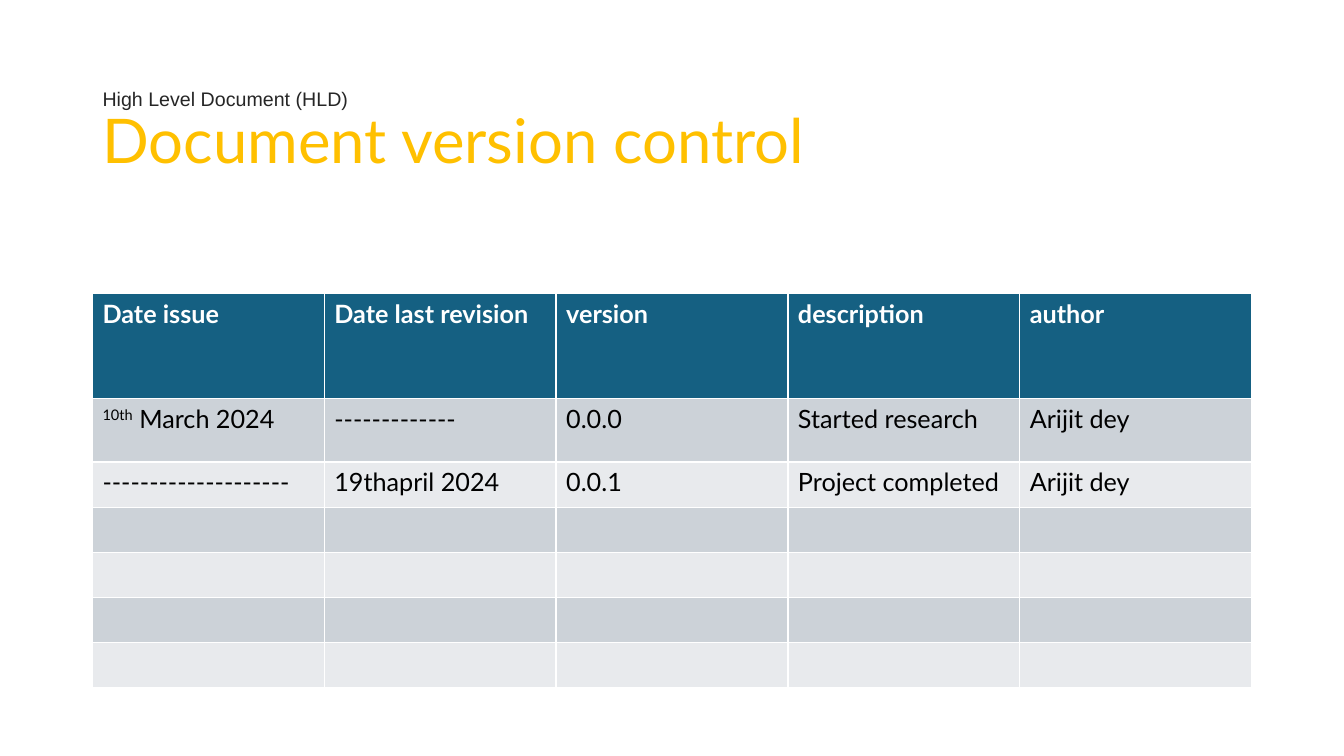
from dataclasses import dataclass

from lxml.etree import SubElement
from pptx import Presentation
from pptx.dml.color import RGBColor
from pptx.enum.text import MSO_ANCHOR, MSO_AUTO_SIZE, PP_ALIGN
from pptx.oxml.ns import qn
from pptx.util import Cm, Pt


@dataclass(frozen=True)
class Theme:
    head: str = "156082"
    bands: tuple = ("CCD2D8", "E8EAED")
    white: str = "FFFFFF"
    black: str = "000000"
    grey: str = "262626"
    gold: str = "FFC000"
    small: int = 14
    text: int = 18
    large: int = 44
    sans: str = "Arial"
    main: str = "Lato"


THEME = Theme()
LEFT, WIDTH = Cm(2.33), Cm(29.21)

HEADS = ["Date issue", "Date last revision", "version", "description", "author"]
# A tuple holds a raised part and the text after it
ROWS = [
    HEADS,
    [("10th", " March 2024"), "-------------", "0.0.0", "Started research", "Arijit dey"],
    ["--------------------", "19thapril 2024", "0.0.1", "Project completed", "Arijit dey"],
] + [[""] * len(HEADS)] * 4
HEIGHTS = [2.65, 1.6] + [1.14] * 5


def add_run(para, text, size, color, face, bold=False):
    run = para.add_run()
    run.text = text
    form = {"size": Pt(size), "name": face, "bold": bold}
    for key, value in form.items():
        setattr(run.font, key, value)
    run.font.color.rgb = RGBColor.from_string(color)
    return run


def add_title(slide):
    title = slide.shapes.title
    place = {"left": LEFT, "top": Cm(1.01), "width": WIDTH, "height": Cm(4.7)}
    for key, value in place.items():
        setattr(title, key, value)
    frame = title.text_frame
    form = {
        "word_wrap": True,
        "auto_size": MSO_AUTO_SIZE.NONE,
        "vertical_anchor": MSO_ANCHOR.MIDDLE,
    }
    for key, value in form.items():
        setattr(frame, key, value)

    para = frame.paragraphs[0]
    para.alignment = PP_ALIGN.LEFT
    para.line_spacing = 0.9
    add_run(para, "High Level Document (HLD)", THEME.small, THEME.grey, THEME.sans)
    # Give the break the size of the small line
    para.add_line_break()
    mark = para._p.find(qn("a:br"))
    SubElement(mark, qn("a:rPr"), sz=str(THEME.small * 100))
    add_run(para, "Document version control", THEME.large, THEME.gold, THEME.main)


def fill_cell(cell, text, fill, color, bold):
    cell.fill.solid()
    cell.fill.fore_color.rgb = RGBColor.from_string(fill)
    para = cell.text_frame.paragraphs[0]
    para.font.size = Pt(THEME.text)
    form = (THEME.text, color, THEME.main, bold)
    if isinstance(text, tuple):
        raised, text = text
        run = add_run(para, raised, *form)
        run.font._element.set("baseline", "30000")
    if text:
        add_run(para, text, *form)


def add_grid(slide):
    # The default table style draws the white rules
    frame = slide.shapes.add_table(
        len(ROWS), len(HEADS), LEFT, Cm(7.39), WIDTH, Cm(sum(HEIGHTS))
    )
    table = frame.table
    for row, height in zip(table.rows, HEIGHTS):
        row.height = Cm(height)
    for i, texts in enumerate(ROWS):
        top = i == 0
        fill = THEME.head if top else THEME.bands[(i - 1) % 2]
        color = THEME.white if top else THEME.black
        for j, text in enumerate(texts):
            fill_cell(table.cell(i, j), text, fill, color, top)


def main():
    deck = Presentation()
    deck.slide_width, deck.slide_height = Cm(33.87), Cm(19.05)
    slide = deck.slides.add_slide(deck.slide_layouts[5])
    add_title(slide)
    add_grid(slide)
    deck.save("out.pptx")


if __name__ == "__main__":
    main()
